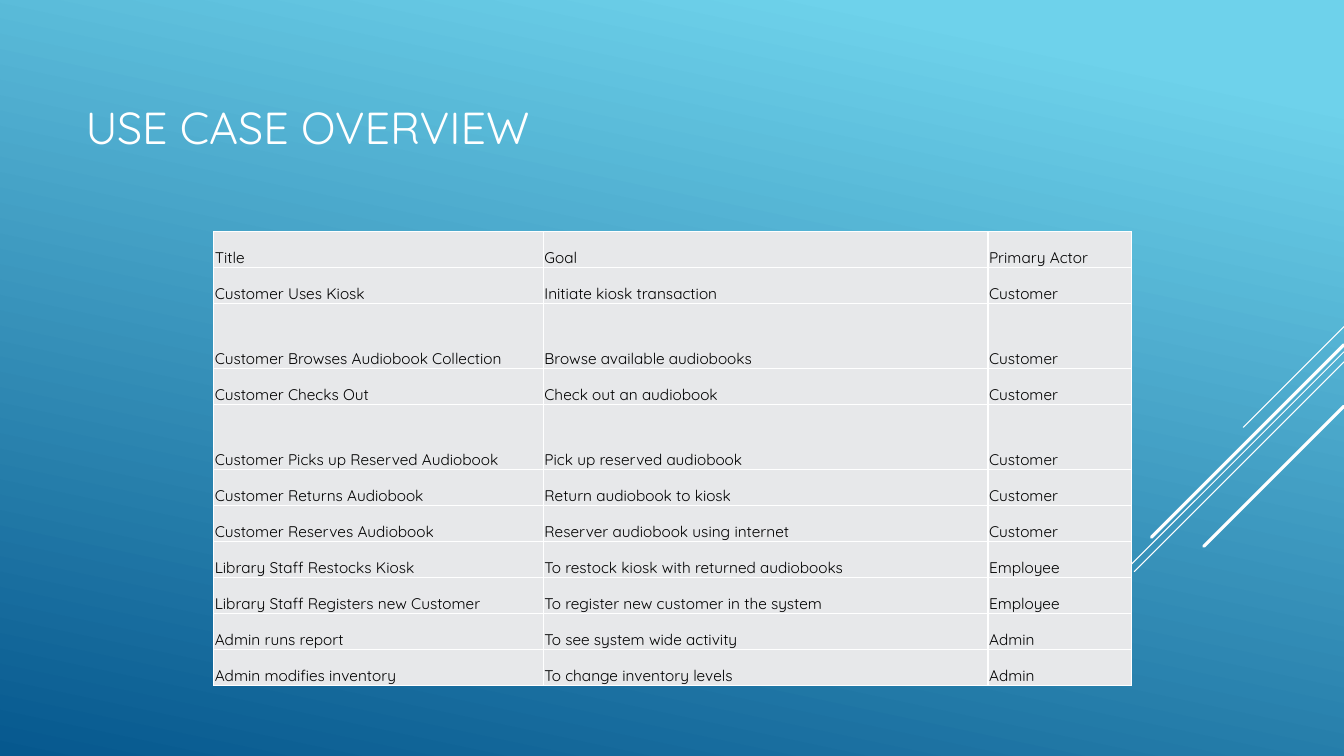
from lxml.etree import SubElement
from pptx import Presentation
from pptx.dml.color import RGBColor
from pptx.enum.shapes import MSO_CONNECTOR
from pptx.enum.text import MSO_ANCHOR
from pptx.oxml.ns import qn
from pptx.util import Inches, Pt

TITLE = "USE CASE OVERVIEW"
CASES = [
    ("Title", "Goal", "Primary Actor"),
    ("Customer Uses Kiosk", "Initiate kiosk transaction", "Customer"),
    ("Customer Browses Audiobook Collection", "Browse available audiobooks", "Customer"),
    ("Customer Checks Out", "Check out an audiobook", "Customer"),
    ("Customer Picks up Reserved Audiobook", "Pick up reserved audiobook", "Customer"),
    ("Customer Returns Audiobook", "Return audiobook to kiosk", "Customer"),
    ("Customer Reserves Audiobook", "Reserver audiobook using internet", "Customer"),
    ("Library Staff Restocks Kiosk", "To restock kiosk with returned audiobooks", "Employee"),
    ("Library Staff Registers new Customer", "To register new customer in the system", "Employee"),
    ("Admin runs report", "To see system wide activity", "Admin"),
    ("Admin modifies inventory", "To change inventory levels", "Admin"),
]
THEME = {
    "font": "Quicksand", "head": 32, "body": 11,
    "white": "FFFFFF", "black": "000000", "cell": "E7E8EA",
    "sky": "6ED2EB", "sea": "06588E",
    "thin": 0.75, "thick": 2.25, "rule": 1,
}
WIDE, HIGH = 13.33, 7.5
COLS = (3.27, 4.41, 1.42)
ROW, TALL = 0.357, 0.645
TALL_ROWS = (2, 4)
# Start height on the right edge, reach to the left, weight
RAYS = [
    (3.24, 1.0, "thin"), (3.49, 3.26, "thin"), (3.59, 2.08, "thin"),
    (3.42, 1.91, "thick"), (4.03, 1.39, "thick"),
]


def tint(name):
    """Return a theme colour."""
    return RGBColor.from_string(THEME[name])


def write(frame, text, size="body", color="black", anchor=MSO_ANCHOR.MIDDLE):
    """Put formatted text into a text frame or a table cell."""
    frame.vertical_anchor = anchor
    body = getattr(frame, "text_frame", frame)
    body.word_wrap = True
    run = body.paragraphs[0].add_run()
    run.text = text
    run.font.name = THEME["font"]
    run.font.size = Pt(THEME[size])
    run.font.color.rgb = tint(color)


def paint(slide):
    """Fill the background with a slanted gradient."""
    fill = slide.background.fill
    fill.gradient()
    fill.gradient_angle = 360 - 102
    for stop, place, name in zip(fill.gradient_stops, (0.1, 1), ("sky", "sea")):
        stop.position = place
        stop.color.rgb = tint(name)


def draw_ray(slide, top, reach, weight):
    """Draw a 45 degree line down from the right edge."""
    ends = [Inches(n) for n in (WIDE, top, WIDE - reach, top + reach)]
    ray = slide.shapes.add_connector(MSO_CONNECTOR.STRAIGHT, *ends)
    ray.line.color.rgb = tint("white")
    ray.line.width = Pt(THEME[weight])
    props = ray._element.spPr
    props.find(qn("a:ln")).set("cap", "rnd")
    SubElement(props, qn("a:effectLst"))


def edge(cell):
    """Give a cell a border on all four sides."""
    props = cell._tc.get_or_add_tcPr()
    for side in ("lnL", "lnR", "lnT", "lnB"):
        line = SubElement(props, qn("a:" + side), w=str(Pt(THEME["rule"])))
        fill = SubElement(line, qn("a:solidFill"))
        SubElement(fill, qn("a:srgbClr"), val=THEME["white"])


def add_cases(slide):
    """Add the table of use cases."""
    rows = [TALL if i in TALL_ROWS else ROW for i in range(len(CASES))]
    spot = [Inches(n) for n in (2.12, 2.3, sum(COLS), sum(rows))]
    table = slide.shapes.add_table(len(rows), len(COLS), *spot).table
    for col, width in zip(table.columns, COLS):
        col.width = Inches(width)
    for row, height, case in zip(table.rows, rows, CASES):
        row.height = Inches(height)
        for cell, text in zip(row.cells, case):
            cell.margin_left = cell.margin_right = cell.margin_top = Inches(0.01)
            cell.margin_bottom = 0
            write(cell, text, anchor=MSO_ANCHOR.BOTTOM)
            edge(cell)
            cell.fill.solid()
            cell.fill.fore_color.rgb = tint("cell")


def build():
    """Build the slide and save it."""
    deck = Presentation()
    deck.slide_width, deck.slide_height = Inches(WIDE), Inches(HIGH)
    slide = deck.slides.add_slide(deck.slide_layouts[6])
    paint(slide)
    for ray in RAYS:
        draw_ray(slide, *ray)
    spot = [Inches(n) for n in (0.75, 0.75, 11, 1.01)]
    title = slide.shapes.add_textbox(*spot)
    write(title.text_frame, TITLE, size="head", color="white")
    add_cases(slide)
    deck.save("out.pptx")


build()
